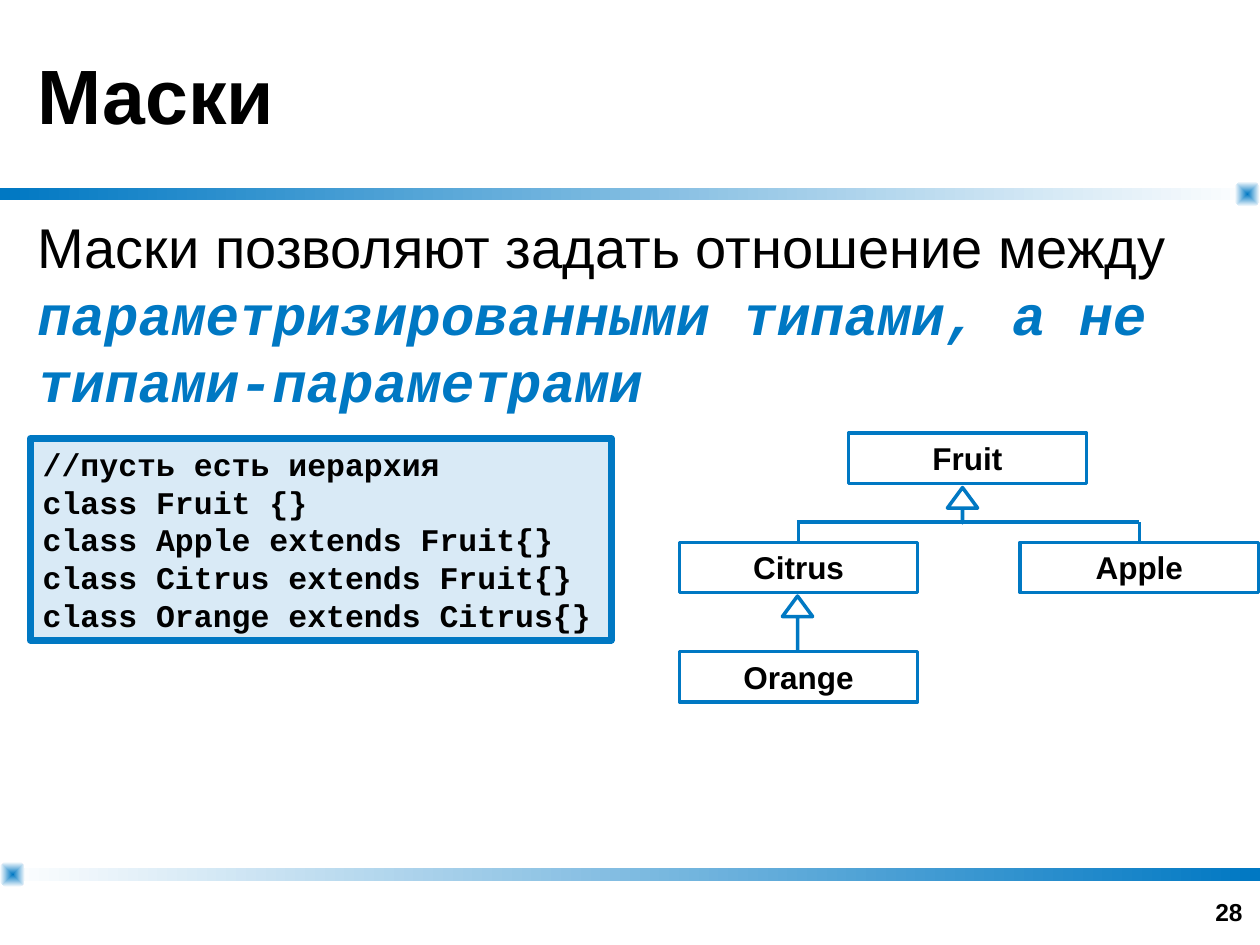
from dataclasses import dataclass

from lxml import etree
from pptx import Presentation
from pptx.dml.color import RGBColor
from pptx.enum.shapes import MSO_CONNECTOR, MSO_SHAPE
from pptx.enum.text import MSO_ANCHOR, MSO_AUTO_SIZE, PP_ALIGN
from pptx.oxml.ns import qn
from pptx.util import Pt

RECTANGLE, ROUNDED = MSO_SHAPE.RECTANGLE, MSO_SHAPE.ROUNDED_RECTANGLE
UP_ARROW, STRAIGHT = MSO_SHAPE.UP_ARROW, MSO_CONNECTOR.STRAIGHT
TOP, MIDDLE, BOTTOM = MSO_ANCHOR.TOP, MSO_ANCHOR.MIDDLE, MSO_ANCHOR.BOTTOM
LEFT, CENTER, RIGHT = PP_ALIGN.LEFT, PP_ALIGN.CENTER, PP_ALIGN.RIGHT
GROW, FIXED = MSO_AUTO_SIZE.SHAPE_TO_FIT_TEXT, MSO_AUTO_SIZE.NONE


@dataclass(frozen=True)
class Theme:
    accent: RGBColor = RGBColor(0x00, 0x78, 0xC3)
    paper: RGBColor = RGBColor(0xFF, 0xFF, 0xFF)
    ink: RGBColor = RGBColor(0x00, 0x00, 0x00)
    sans: str = "Arial"
    mono: str = "Courier New"
    title: float = 44
    body: float = 32
    label: float = 18
    number: float = 14
    thin: float = 2
    thick: float = 4
    tint: int = 15


class SlideBuilder:
    def __init__(self, slide, theme):
        self.slide = slide
        self.theme = theme

    def style_font(self, font, size, name=None, color=None, bold=True):
        font.size, font.name, font.bold = Pt(size), name or self.theme.sans, bold
        font.color.rgb = color or self.theme.ink

    def setup_frame(self, frame, anchor, auto_size=FIXED):
        frame.word_wrap = True
        frame.auto_size = auto_size
        frame.vertical_anchor = anchor

    def text(self, place, content, size, anchor=MIDDLE, align=LEFT):
        box = self.slide.shapes.add_textbox(*map(Pt, place))
        self.setup_frame(box.text_frame, anchor)
        para = box.text_frame.paragraphs[0]
        para.text, para.alignment = content, align
        self.style_font(para.font, size)

    def statement(self, place, plain, emphasis):
        box = self.slide.shapes.add_textbox(*map(Pt, place))
        self.setup_frame(box.text_frame, MIDDLE)
        para = box.text_frame.paragraphs[0]
        for content, name, color, strong in (
            (plain, self.theme.sans, self.theme.ink, False),
            (emphasis, self.theme.mono, self.theme.accent, True),
        ):
            span = para.add_run()
            span.text = content
            self.style_font(span.font, self.theme.body, name, color, strong)
            span.font.italic = strong

    def shape(self, kind, place, line_width=None):
        shape = self.slide.shapes.add_shape(kind, *map(Pt, place))
        shape.shadow.inherit = False
        if line_width:
            shape.fill.solid()
            shape.fill.fore_color.rgb = self.theme.paper
            shape.line.color.rgb = self.theme.accent
            shape.line.width = Pt(line_width)
        else:
            shape.line.fill.background()
        return shape

    def gradient(self, shape, start, end):
        shape.fill.gradient()
        shape.fill.gradient_angle = 0
        for stop, position, color in zip(shape.fill.gradient_stops, (0, 1), (start, end)):
            stop.position, stop.color.rgb = position, color

    def bar(self, top, width, height, start, end):
        self.gradient(self.shape(RECTANGLE, (0, top, width, height)), start, end)

    def glow(self, left, top, size):
        shape = self.shape(ROUNDED, (left, top, size, size))
        shape.adjustments[0] = 0.32
        self.gradient(shape, self.theme.accent, self.theme.paper)
        # Radiate from the centre instead of running left to right
        linear = shape.fill._xPr.find(".//" + qn("a:lin"))
        radial = etree.Element(qn("a:path"), {"path": "rect"})
        etree.SubElement(radial, qn("a:fillToRect"), dict.fromkeys("ltrb", "50000"))
        linear.getparent().replace(linear, radial)

    def lines(self, shape, rows, name, align):
        frame = shape.text_frame
        self.setup_frame(frame, TOP, GROW)
        for index, row in enumerate(rows):
            para = frame.add_paragraph() if index else frame.paragraphs[0]
            para.text, para.alignment = row, align
            self.style_font(para.font, self.theme.label, name)

    def code(self, place, rows):
        shape = self.shape(RECTANGLE, place, self.theme.thick)
        shape.fill.fore_color.rgb = self.theme.accent
        color = shape.fill._xPr.find(qn("a:solidFill"))[0]
        etree.SubElement(color, qn("a:alpha"), val=str(self.theme.tint * 1000))
        self.lines(shape, rows, self.theme.mono, LEFT)

    def node(self, place, label):
        shape = self.shape(RECTANGLE, place, self.theme.thin)
        self.lines(shape, [label], self.theme.sans, CENTER)

    def inheritance(self, place):
        arrow = self.shape(UP_ARROW, place, self.theme.thin)
        arrow.adjustments[0], arrow.adjustments[1] = 0, 0.68

    def line(self, *ends):
        line = self.slide.shapes.add_connector(STRAIGHT, *map(Pt, ends))
        line.line.color.rgb = self.theme.accent
        line.line.width = Pt(self.theme.thin)
        etree.SubElement(line._element.spPr, qn("a:effectLst"))


def main():
    deck = Presentation()
    deck.slide_width, deck.slide_height = Pt(720), Pt(540)
    theme = Theme()
    page = SlideBuilder(deck.slides.add_slide(deck.slide_layouts[6]), theme)

    # Fading bars, each with a glowing square at its pale end
    bar_height, square = 7.2, 14.4
    for top, square_left, start, end in (
        (107.3, 720 - square, theme.accent, theme.paper),
        (496.1, 0, theme.paper, theme.accent),
    ):
        page.bar(top, 720, bar_height, start, end)
        page.glow(square_left, top + (bar_height - square) / 2, square)

    # Slide number, title and statement
    page.text((549.4, 496.8, 167.8, 36), "28", theme.number, BOTTOM, RIGHT)
    page.text((14.4, 0, 691.2, 107.3), "Маски", theme.title)
    page.statement(
        (14.4, 116.6, 691.2, 124.6),
        "Маски позволяют задать отношение между ",
        "параметризированными типами, а не типами-параметрами",
    )

    # Class declarations
    page.code((17.3, 250.6, 331.9, 115.2), [
        "//пусть есть иерархия",
        "class Fruit {}",
        "class Apple extends Fruit{}",
        "class Citrus extends Fruit{}",
        "class Orange extends Citrus{}",
    ])

    # Class hierarchy
    node_width, node_height = 136.1, 28.8
    first_row, row_step = 247.5, 62.4
    left_column, middle_column, right_column = 388.3, 484.8, 583
    for label, left, row in (
        ("Fruit", middle_column, 0),
        ("Citrus", left_column, 1),
        ("Apple", right_column, 1),
        ("Orange", left_column, 2),
    ):
        page.node((left, first_row + row * row_step, node_width, node_height), label)

    # Inheritance arrows and the branch that joins the two subclasses
    page.inheritance((541.4, 278.6, 17.3, 20.2))
    page.inheritance((447.1, 340.6, 17.3, 31))
    branch_top, branch_bottom = 298.2, first_row + row_step
    left_stem, right_stem = (column + node_width / 2 for column in (left_column, right_column))
    for stem in (left_stem, right_stem):
        page.line(stem, branch_bottom, stem, branch_top)
    page.line(left_stem - 1, branch_top, right_stem, branch_top)

    deck.save("out.pptx")


if __name__ == "__main__":
    main()
